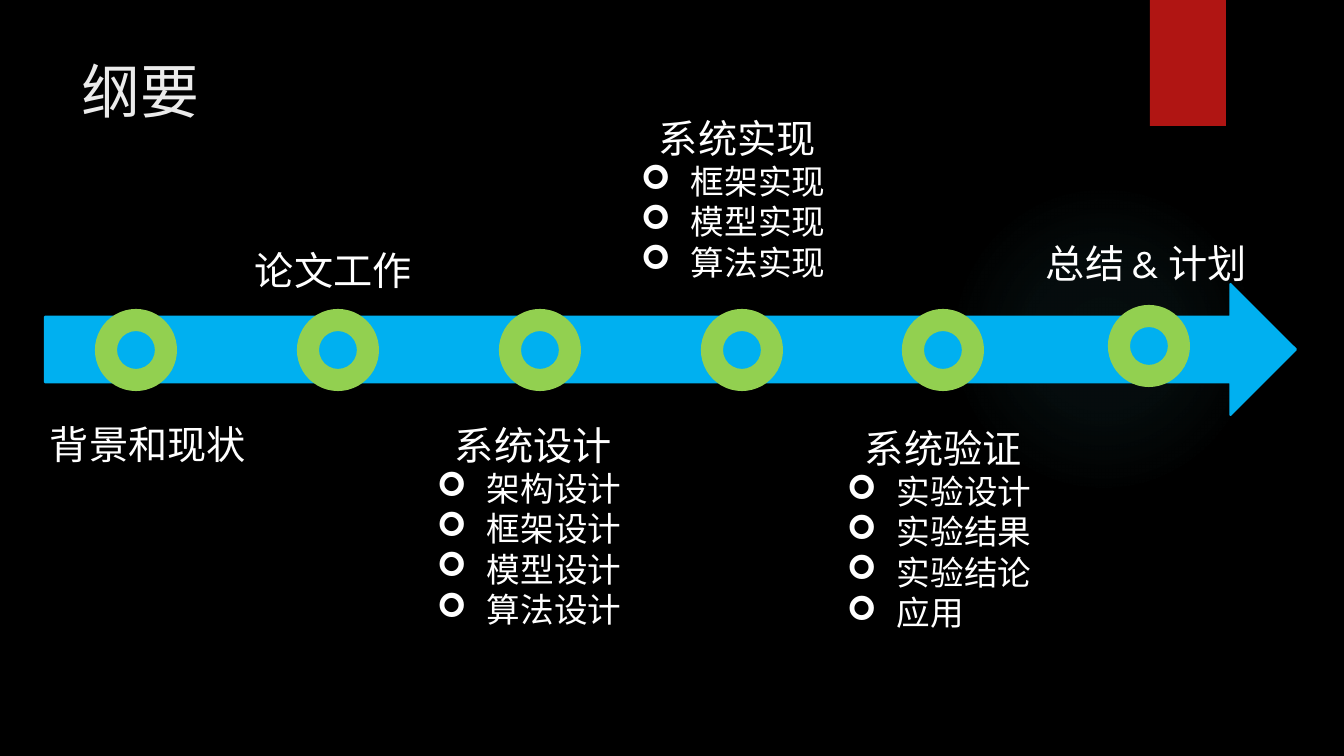
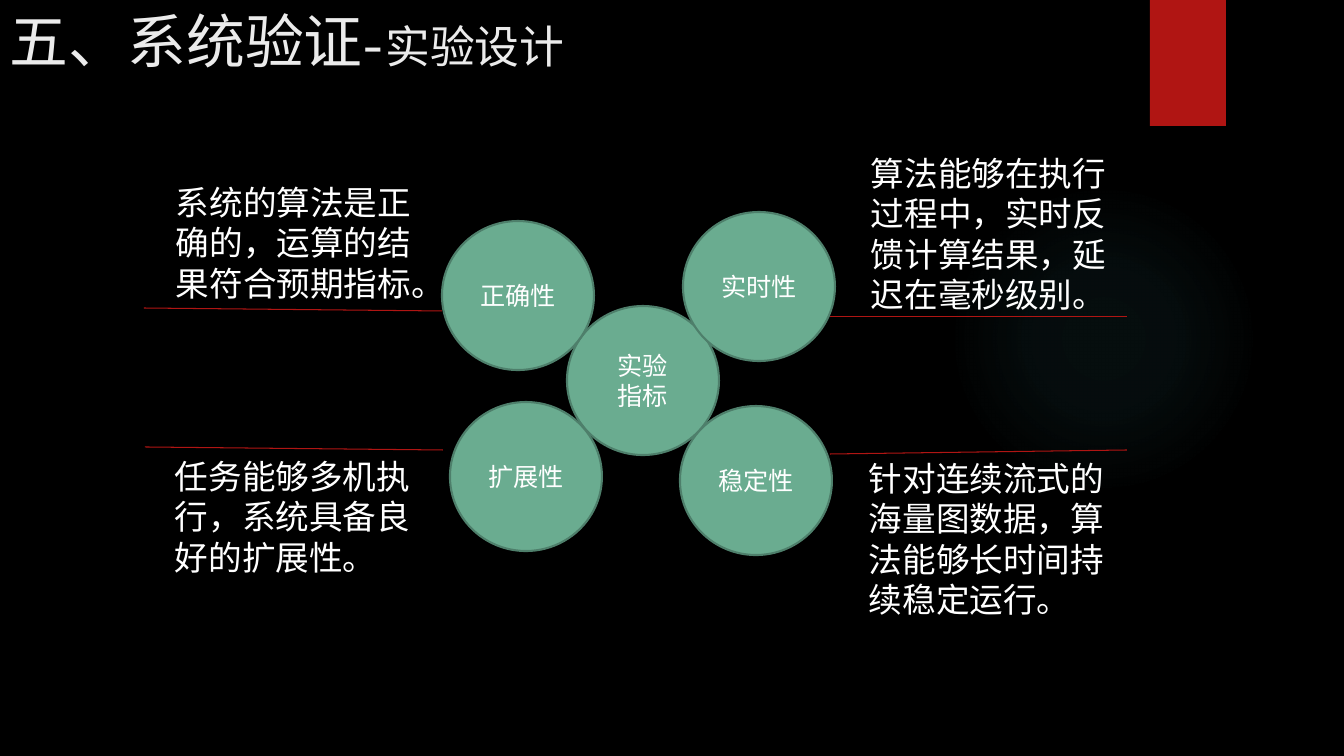
import pptx
import pptx.util
import pptx.dml.color
import pptx.enum.dml
import pptx.enum.lang
import pptx.enum.shapes
import pptx.enum.text
import pptx.oxml
import pptx.oxml.ns
import lxml.etree

PX = 9144000 / 1008  # EMU per px
FONT = "League Spartan"
COLORS = {
    "background": "000000", "title": "EBEBEB", "text": "FFFFFF",
    "band": "B01513", "glow": "50B9C1", "arrow": "00B0F0", "ring": "92D050",
    "bubble": "6AAC90", "bubble_edge": "4E7F6B",
}
RGB = {k: pptx.dml.color.RGBColor.from_string(v) for k, v in COLORS.items()}
SHAPE = pptx.enum.shapes.MSO_SHAPE
qn = pptx.oxml.ns.qn

prs = pptx.Presentation()
prs.slide_width, prs.slide_height = round(1344 * PX), round(756 * PX)


def add_shape(s, kind, box, fill, line=None):
    sp = s.shapes.add_shape(kind, *[round(v * PX) for v in box])
    sp.shadow.inherit = False
    sp.fill.solid()
    sp.fill.fore_color.rgb = RGB[fill]
    if line:
        sp.line.color.rgb = RGB[line]
        sp.line.width = pptx.util.Pt(1.5)
    else:
        sp.line.fill.background()
    return sp


def add_text(s, box, paragraphs, color="text", sp=None):
    """Each paragraph is a list of (text, size) runs; without sp a text box is made."""
    sp = sp or s.shapes.add_textbox(*[round(v * PX) for v in box])
    tf = sp.text_frame
    tf.word_wrap = True
    for i, runs in enumerate(paragraphs):
        p = tf.paragraphs[0] if i == 0 else tf.add_paragraph()
        for text, size in runs:
            r = p.add_run()
            r.text = text
            r.font.name = FONT
            r.font.size = pptx.util.Pt(size)
            r.font.color.rgb = RGB[color]
            r.font.language_id = pptx.enum.lang.MSO_LANGUAGE_ID.SIMPLIFIED_CHINESE
    return tf


# Shared background, glow, band and title
titles = [
    ((72, 50, 1037, 154), [("纲要", 42)]),
    ((0, 0, 1037, 154), [("五、系统验证-", 42), ("实验设计", 32)]),
]
slides = []
for box, runs in titles:
    s = prs.slides.add_slide(prs.slide_layouts[6])
    s.background.fill.solid()
    s.background.fill.fore_color.rgb = RGB["background"]

    glow = add_shape(s, SHAPE.OVAL, (949, 184, 310, 310), "glow")
    stops = "".join(
        f'<a:gs pos="{pos}000"><a:srgbClr val="{COLORS["glow"]}">'
        f'<a:alpha val="{alpha}000"/></a:srgbClr></a:gs>'
        for pos, alpha in [(0, 7), (36, 6), (69, 0)])
    gradient = pptx.oxml.parse_xml(
        f'<a:gradFill {pptx.oxml.ns.nsdecls("a")}><a:gsLst>{stops}</a:gsLst>'
        '<a:path path="circle"><a:fillToRect l="50000" t="50000" r="50000" b="50000"/>'
        '</a:path></a:gradFill>')
    solid = glow._element.spPr.find(qn("a:solidFill"))
    solid.getparent().replace(solid, gradient)

    add_shape(s, SHAPE.RECTANGLE, (1150, 0, 76, 126), "band")
    add_text(s, box, [runs], "title")
    slides.append(s)

# Slide 1: timeline arrow with rings
s = slides[0]
add_shape(s, SHAPE.RIGHT_ARROW, (45, 284, 1251, 131), "arrow", "arrow")
for x, y in [(96, 310), (298, 310), (500, 310), (702, 310), (903, 310), (1109, 306)]:
    add_shape(s, SHAPE.DONUT, (x, y, 80, 80), "ring", "ring")

# Slide 1: stage labels with bulleted steps
stages = [
    ((40, 415, 225, 57), "背景和现状", []),
    ((245, 241, 225, 57), "论文工作", []),
    ((427, 416, 225, 221), "系统设计", ["架构设计", "框架设计", "模型设计", "算法设计"]),
    ((631, 109, 225, 221), "系统实现", ["框架实现", "模型实现", "算法实现"]),
    ((837, 419, 225, 221), "系统验证", ["实验设计", "实验结果", "实验结论", "应用"]),
    ((1036, 234, 256, 57), "总结 & 计划", []),
]
for box, name, steps in stages:
    tf = add_text(s, box, [[(name, 28)]] + [[(step, 24)] for step in steps])
    if steps:
        tf.paragraphs[0]._p.get_or_add_pPr().set("marL", str(round(18 * PX)))
    for p in tf.paragraphs[1:]:
        pPr = p._p.get_or_add_pPr()
        pPr.set("marL", str(round(50 * PX)))
        pPr.set("indent", str(round(-50 * PX)))
        lxml.etree.SubElement(pPr, qn("a:buFont")).set("typeface", "Wingdings")
        lxml.etree.SubElement(pPr, qn("a:buChar")).set("char", "➢")

# Slide 2: central bubble and four criteria
s = slides[1]
bubbles = [
    (567, 306, ["实验", "指标"]),
    (683, 212, ["实时性"]),
    (680, 406, ["稳定性"]),
    (442, 221, ["正确性"]),
    (450, 402, ["扩展性"]),
]
for x, y, lines in bubbles:
    sp = add_shape(s, SHAPE.FLOWCHART_CONNECTOR, (x, y, 152, 149), "bubble", "bubble_edge")
    tf = add_text(s, None, [[(line, 18)] for line in lines], sp=sp)
    tf.vertical_anchor = pptx.enum.text.MSO_ANCHOR.MIDDLE
    for p in tf.paragraphs:
        p.alignment = pptx.enum.text.PP_ALIGN.CENTER

# Slide 2: explanations
notes = [
    (166, 177, "系统的算法是正确的，运算的结果符合预期指标。"),
    (861, 148, "算法能够在执行过程中，实时反馈计算结果，延迟在毫秒级别。"),
    (859, 453, "针对连续流式的海量图数据，算法能够长时间持续稳定运行。"),
    (165, 451, "任务能够多机执行，系统具备良好的扩展性。"),
]
for x, y, text in notes:
    add_text(s, (x, y, 286, 173), [[(text, 24)]])

# Slide 2: rules from bubbles to explanations
rules = [
    (442, 311, 144, 308),
    (1127, 317, 830, 317),
    (443, 450, 145, 447),
    (1127, 450, 830, 454),
]
for ends in rules:
    c = s.shapes.add_connector(
        pptx.enum.shapes.MSO_CONNECTOR.STRAIGHT, *[round(v * PX) for v in ends])
    c.line.color.rgb = RGB["band"]
    c.line.width = pptx.util.Pt(0.75)
    lxml.etree.SubElement(c._element.spPr, qn("a:effectLst"))

prs.save("out.pptx")
